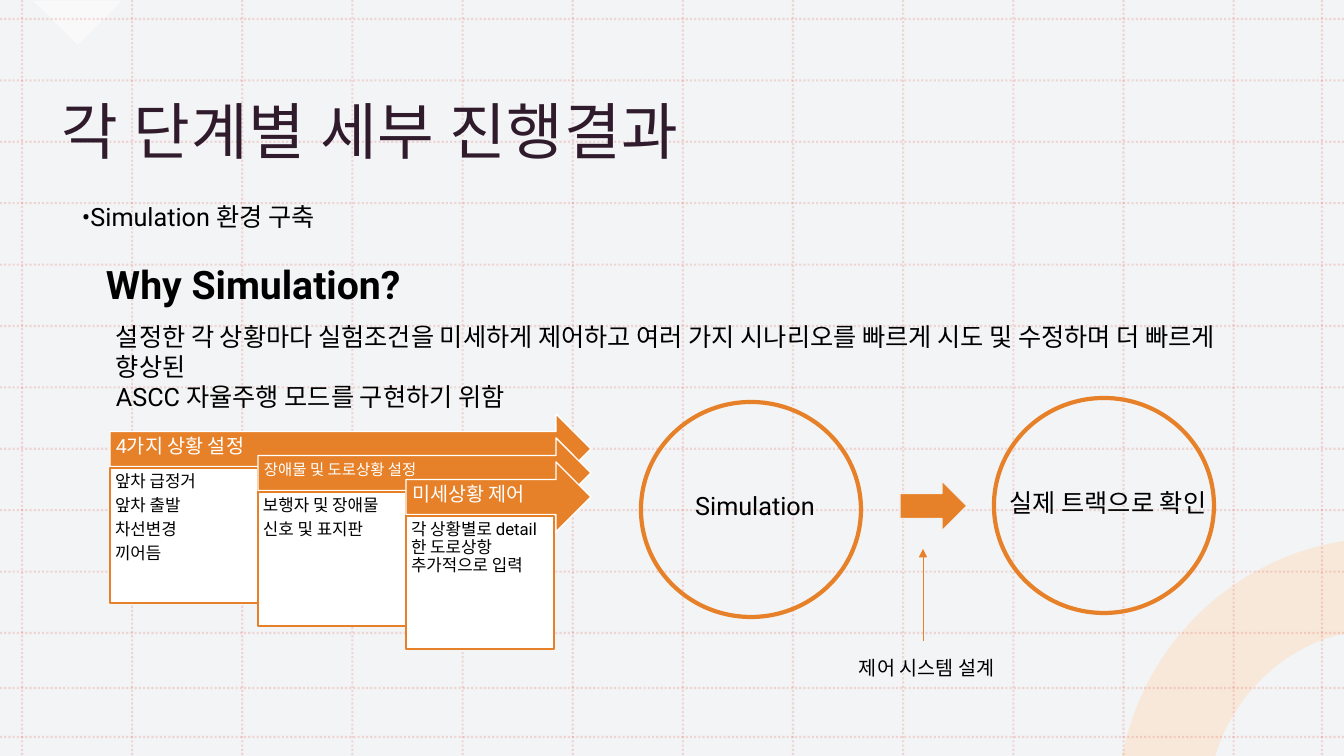
from pptx import Presentation
from pptx.dml.color import RGBColor
from pptx.enum.dml import MSO_LINE
from pptx.enum.shapes import MSO_CONNECTOR, MSO_SHAPE
from pptx.enum.text import MSO_ANCHOR as Anchor, PP_ALIGN as Align
from pptx.oxml.ns import qn
from pptx.util import Pt
from lxml.etree import SubElement as Sub

PX = 12192000 / 1344
WIDE, HIGH = 1344, 756
FONT = "Roboto"
BLACK, WHITE, ORANGE = "000000", "FFFFFF", "E78129"
PLUM, ROSE, PEACH, PALE = "301B2D", "D52117", "FAE6D4", "F0F2F3"

CARDS = [
    ("4가지 상황 설정", 14, "앞차 급정거\n앞차 출발\n차선변경\n끼어듬"),
    ("장애물 및 도로상황 설정", 11, "보행자 및 장애물\n신호 및 표지판"),
    ("미세상황 제어", 14, "각 상황별로 detail한 도로상항 추가적으로 입력"),
]


def emu(*nums):
    return [round(n * PX) for n in nums]


def paint(fmt, color, alpha=None):
    """Give a fill a solid colour, see-through if alpha (percent) is set."""
    fmt.solid()
    fmt.fore_color.rgb = RGBColor.from_string(color)
    if alpha is not None:
        node = fmt._xPr.find(qn("a:solidFill"))[0]
        Sub(node, qn("a:alpha")).set("val", str(alpha * 1000))


def dress(shape, fill=None, line=None, width=1, alpha=None):
    shape.shadow.inherit = False
    if fill:
        paint(shape.fill, fill, alpha)
    else:
        shape.fill.background()
    if line:
        paint(shape.line.fill, line)
        shape.line.width = Pt(width)
    else:
        shape.line.fill.background()
    return shape


def add_form(slide, kind, box, **look):
    return dress(slide.shapes.add_shape(kind, *emu(*box)), **look)


def add_line(slide, ends, color, width, alpha=None):
    link = slide.shapes.add_connector(MSO_CONNECTOR.STRAIGHT, *emu(*ends))
    paint(link.line.fill, color, alpha)
    link.line.width = Pt(width)
    Sub(link._element.spPr, qn("a:effectLst"))
    return link


def write(shape, text, size, color=BLACK, bold=False, wrap=True, pad=(10, 5, 10, 5),
          anchor=Anchor.TOP, align=Align.LEFT, tight=False):
    frame = shape.text_frame
    frame.text = text
    frame.word_wrap = wrap
    frame.vertical_anchor = anchor
    (frame.margin_left, frame.margin_top,
     frame.margin_right, frame.margin_bottom) = emu(*pad)
    for par in frame.paragraphs:
        par.alignment = align
        if tight:
            par.line_spacing = 0.9
            par.space_after = Pt(size * 0.35)
        for run in par.runs:
            font = run.font
            font.name, font.size, font.bold = FONT, Pt(size), bold
            font.color.rgb = RGBColor.from_string(color)
    return shape


def add_text(slide, box, text, size, **look):
    return write(slide.shapes.add_textbox(*emu(*box)), text, size, **look)


def curve(a, b, c, d, steps=24):
    """Points along a cubic curve."""
    for i in range(steps + 1):
        t = i / steps
        u = 1 - t
        yield tuple(u**3 * p + 3 * u * u * t * q + 3 * u * t * t * r + t**3 * s
                    for p, q, r, s in zip(a, b, c, d))


def add_ring(slide):
    inner = curve((1334, 636), (1277, 653), (1233, 699), (1216, 754))
    outer = curve((1123, 753), (1144, 648), (1227, 564), (1333, 543))
    pts = [(WIDE, 634), *inner, (1215, HIGH), (1122, HIGH), *outer]
    form = slide.shapes.build_freeform(*emu(WIDE, 541), scale=1.0)
    form.add_line_segments([emu(*p) for p in pts], close=True)
    dress(form.convert_to_shape(), fill=PEACH, alpha=80)


def add_grid(slide):
    cols = [22 + 110.15 * i for i in range(12)] + [1322]
    rows = [19 + 61.4 * i for i in range(11)] + [688, 737]
    ends = [(x, 0, x, HIGH) for x in cols] + [(0, y, WIDE, y) for y in rows]
    for end in ends:
        line = add_line(slide, end, ROSE, 1.5, alpha=15)
        line.line.dash_style = MSO_LINE.ROUND_DOT


def add_card(slide, i, head, size, body):
    x, y = 110 + 148 * i, 414 + 24 * i
    width = 591 - x
    add_form(slide, MSO_SHAPE.RIGHT_ARROW, (x, y, width, 70), fill=ORANGE, line=WHITE)
    add_text(slide, (x, y + 18, width - 17, 35), head, size, color=WHITE,
             pad=(6, 6, 28, 11), anchor=Anchor.MIDDLE, tight=True)
    card = add_form(slide, MSO_SHAPE.RECTANGLE, (x, y + 54, 148, 135 - i),
                    fill=WHITE, line=ORANGE)
    write(card, body, 12, pad=(5, 5, 5, 5), tight=True)


def main():
    prs = Presentation()
    prs.slide_width, prs.slide_height = emu(WIDE, HIGH)
    slide = prs.slides.add_slide(prs.slide_layouts[6])

    # Backdrop
    paint(slide.background.fill, WHITE)
    add_form(slide, MSO_SHAPE.RECTANGLE, (0, 0, WIDE, HIGH), fill=PALE, alpha=80)
    corner = add_form(slide, MSO_SHAPE.RIGHT_TRIANGLE, (46, -31, 63, 63),
                      fill=WHITE, alpha=50)
    corner.rotation = 315
    add_ring(slide)
    add_grid(slide)

    # Headings
    title = add_text(slide, (50, 81, 832, 123), "각 단계별 세부 진행결과", 44,
                     color=PLUM, pad=(12, 12, 12, 10))
    title.text_frame.paragraphs[0].runs[0].font._element.set("spc", "50")
    add_text(slide, (72, 196, 270, 40), "•Simulation 환경 구축", 18, wrap=False)
    add_text(slide, (96, 255, 336, 57), "Why Simulation?", 28, bold=True, wrap=False)
    add_text(slide, (106, 316, 1190, 102),
             "설정한 각 상황마다 실험조건을 미세하게 제어하고 여러 가지 시나리오를 "
             "빠르게 시도 및 수정하며 더 빠르게 향상된\n"
             "ASCC 자율주행 모드를 구현하기 위함", 18)

    # Stepped cards
    for i, card in enumerate(CARDS):
        add_card(slide, i, *card)

    # From simulation to track
    for x, y, text, top in [(641, 402, "Simulation", 485),
                            (994, 398, "실제 트랙으로 확인", 482)]:
        add_form(slide, MSO_SHAPE.OVAL, (x, y, 220, 215), line=ORANGE, width=3)
        add_text(slide, (x + 4, top, 220, 40), text, 18, wrap=False, align=Align.CENTER)
    add_form(slide, MSO_SHAPE.RIGHT_ARROW, (900, 481, 67, 50), fill=ORANGE, line=PALE)
    link = add_line(slide, (923, 641, 923, 549), ORANGE, 0.5)
    Sub(link.line._get_or_add_ln(), qn("a:tailEnd")).set("type", "triangle")
    add_text(slide, (849, 651, 158, 34), "제어 시스템 설계", 14, wrap=False)

    prs.save("out.pptx")


if __name__ == "__main__":
    main()
